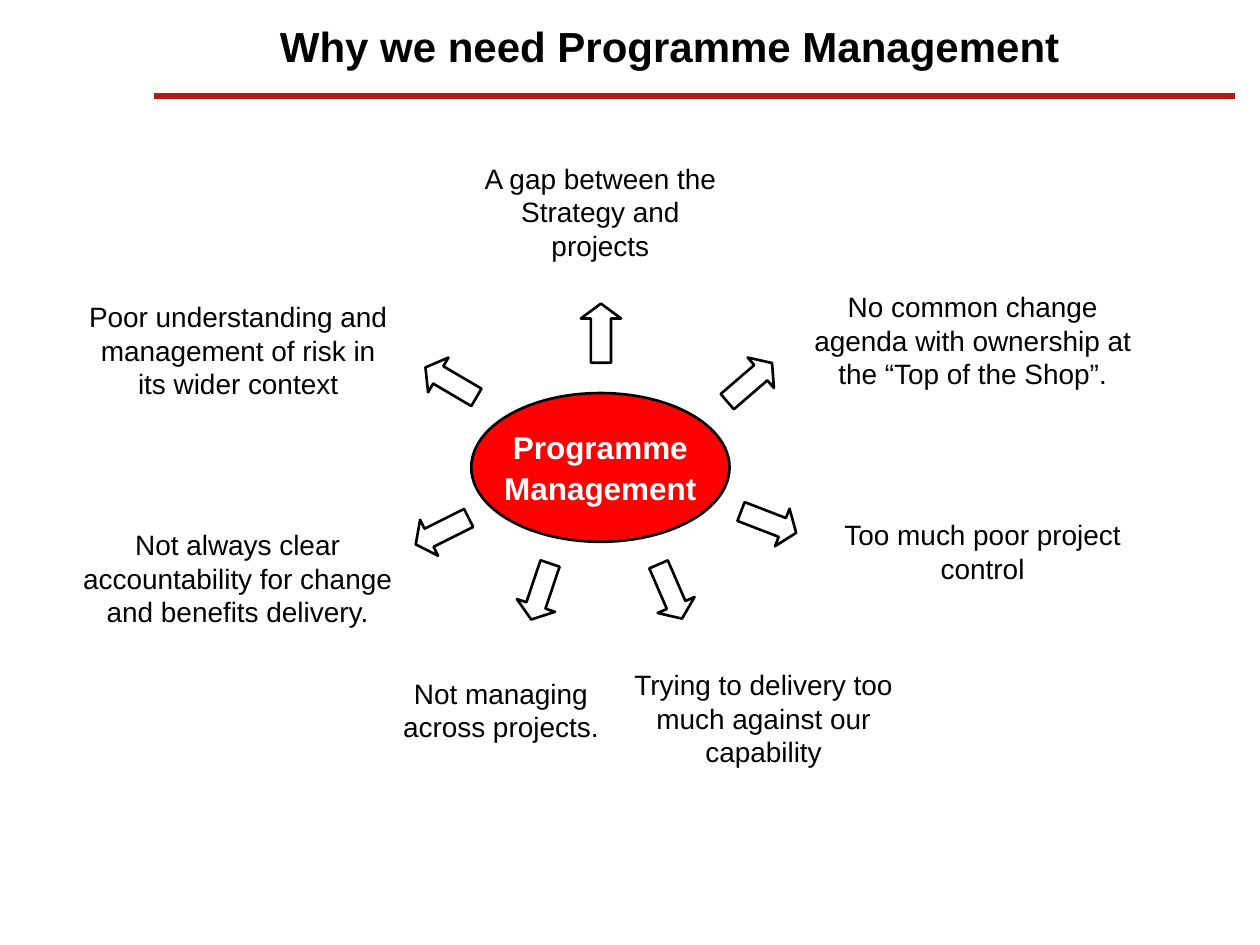
from typing import NamedTuple

from lxml.etree import SubElement
from pptx import Presentation
from pptx.dml.color import RGBColor
from pptx.enum.shapes import MSO_CONNECTOR as Connector, MSO_SHAPE as Shape
from pptx.enum.text import MSO_ANCHOR as Anchor, MSO_AUTO_SIZE as AutoSize, PP_ALIGN as Align
from pptx.oxml.ns import qn
from pptx.util import Pt

COLORS = {"black": "000000", "white": "FFFFFF", "red": "FF0000", "rule": "B91713"}
ARROW_W, ARROW_H = 23, 33.8
LINE_H = {2: 46.1, 3: 64.8}


class Reason(NamedTuple):
    text: str
    left: float
    top: float
    width: float
    lines: int
    arrow_left: float
    arrow_top: float
    angle: float


REASONS = [
    Reason("A gap between the Strategy and projects", 263.5, 88.6, 159.1, 3, 331.9, 173.5, 0),
    Reason("No common change agenda with ownership at the “Top of the Shop”.",
           456.5, 162, 198.7, 3, 416.9, 201.6, 49.3),
    Reason("Too much poor project control", 462.2, 292.3, 198.7, 2, 427.7, 281.5, 111.1),
    Reason("Trying to delivery too much against our capability",
           348.5, 378, 175.7, 3, 371.5, 321.1, 156.6),
    Reason("Not managing across projects.", 212.4, 383, 147.6, 2, 297.4, 321.1, 198.6),
    Reason("Not always clear accountability for change and benefits delivery.",
           31, 298.1, 209.5, 3, 241.2, 286.6, 243.4),
    Reason("Poor understanding and management of risk in its wider context",
           42.5, 167.8, 187.2, 3, 246.2, 201.6, 300.4),
]


def rgb(name: str) -> RGBColor:
    return RGBColor.from_string(COLORS[name])


def write(s, text: str, size: float, color: str, bold: bool = False, before: float = 0) -> None:
    tf = s.text_frame
    tf.text = text
    for p in tf.paragraphs:
        p.alignment = Align.CENTER
        p.space_before = Pt(before)
        for r in p.runs:
            r.font.name = "Arial"
            r.font.size = Pt(size)
            r.font.bold = bold
            r.font.color.rgb = rgb(color)


def add_rule(slide) -> None:
    s = slide.shapes.add_connector(Connector.STRAIGHT, Pt(87.8), Pt(54.7), Pt(705.6), Pt(54.7))
    s.line.color.rgb = rgb("rule")
    s.line.width = Pt(3.25)
    SubElement(s._element.spPr, qn("a:effectLst"))


def add_text(slide, left: float, top: float, width: float, height: float):
    s = slide.shapes.add_textbox(Pt(left), Pt(top), Pt(width), Pt(height))
    s.text_frame.word_wrap = True
    return s


def add_outlined(slide, kind: Shape, left: float, top: float, width: float, height: float):
    s = slide.shapes.add_shape(kind, Pt(left), Pt(top), Pt(width), Pt(height))
    s.shadow.inherit = False
    s.fill.background()
    s.line.color.rgb = rgb("black")
    s.line.width = Pt(1.5)
    return s


def add_title(slide) -> None:
    s = add_text(slide, 93.6, -2.2, 578.2, 56.9)
    s.text_frame.vertical_anchor = Anchor.MIDDLE
    write(s, "Why we need Programme Management", 24, "black", bold=True)


def add_hub(slide) -> None:
    s = add_outlined(slide, Shape.OVAL, 269.3, 224.6, 147.6, 85)
    s.fill.solid()
    s.fill.fore_color.rgb = rgb("red")
    s.text_frame.word_wrap = False
    s.text_frame.vertical_anchor = Anchor.MIDDLE
    write(s, "Programme\nManagement", 18, "white", bold=True, before=2.2)


def add_reason(slide, reason: Reason) -> None:
    s = add_text(slide, reason.left, reason.top, reason.width, LINE_H[reason.lines])
    s.text_frame.auto_size = AutoSize.SHAPE_TO_FIT_TEXT
    write(s, reason.text, 16, "black", before=10)
    arrow = add_outlined(slide, Shape.UP_ARROW, reason.arrow_left, reason.arrow_top,
                         ARROW_W, ARROW_H)
    arrow.adjustments[0] = 0.5
    arrow.adjustments[1] = 0.37
    arrow.rotation = reason.angle


def main() -> None:
    prs = Presentation()
    prs.slide_width, prs.slide_height = Pt(720), Pt(540)
    slide = prs.slides.add_slide(prs.slide_layouts[6])
    add_rule(slide)
    add_title(slide)
    add_hub(slide)
    for reason in REASONS:
        add_reason(slide, reason)
    prs.save("out.pptx")


if __name__ == "__main__":
    main()
